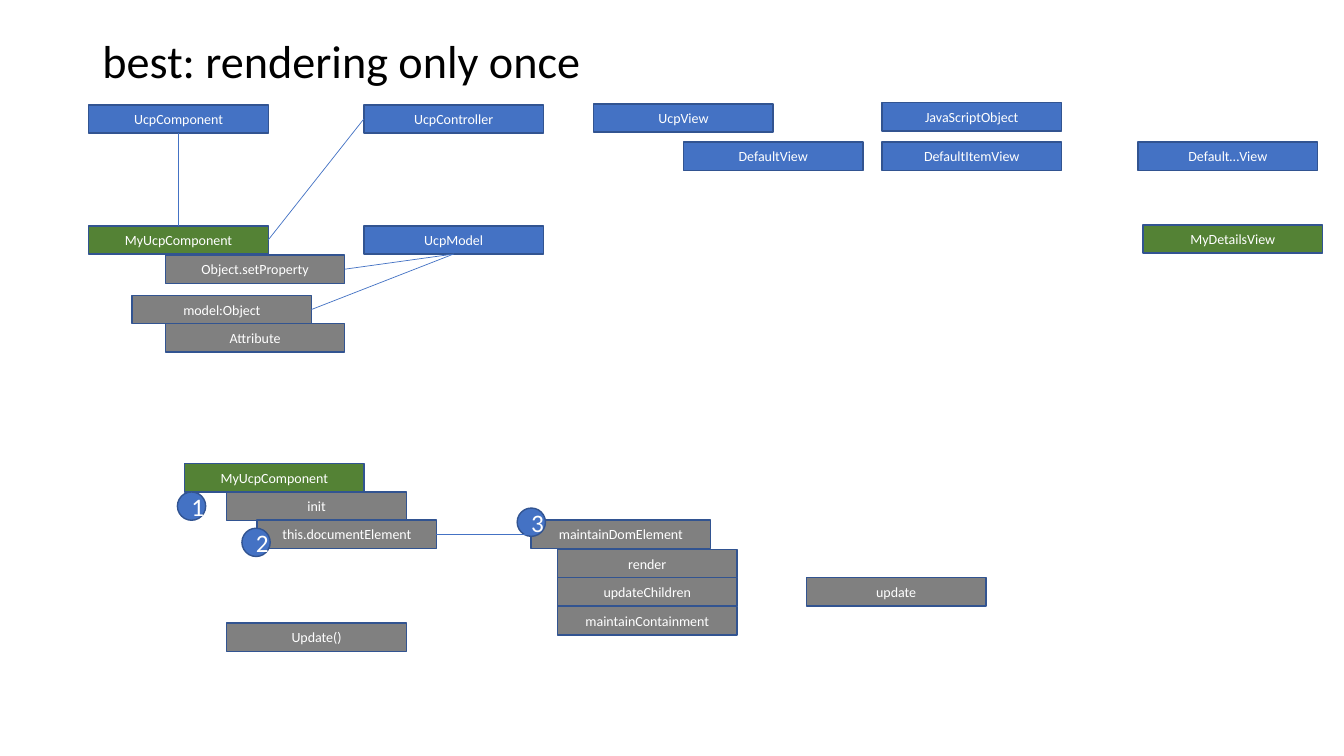
import pptx
import pptx.util
import pptx.dml.color
import pptx.enum.shapes
import pptx.enum.text
import pptx.oxml.ns
import lxml.etree

Pt = pptx.util.Pt
Shape = pptx.enum.shapes.MSO_SHAPE
Align = pptx.enum.text.PP_ALIGN
COLORS = {"blue": "4472C4", "green": "548235", "grey": "808080",
          "outline": "325491", "white": "FFFFFF", "black": "000000"}
BOX_WIDTH, BOX_HEIGHT = 128.2, 20.2


def rgb(name):
    return pptx.dml.color.RGBColor.from_string(COLORS[name])


def write(shape, text, size=10, color="white", align=Align.CENTER, spacing=None):
    frame = shape.text_frame
    frame.word_wrap = True
    frame.auto_size = pptx.enum.text.MSO_AUTO_SIZE.NONE
    frame.vertical_anchor = pptx.enum.text.MSO_ANCHOR.MIDDLE
    paragraph = frame.paragraphs[0]
    paragraph.alignment = align
    paragraph.line_spacing = spacing
    run = paragraph.add_run()
    run.text = text
    run.font.name = "Calibri"
    run.font.size = Pt(size)
    run.font.color.rgb = rgb(color)


deck = pptx.Presentation()
deck.slide_width, deck.slide_height = Pt(960), Pt(540)
slide = deck.slides.add_slide(deck.slide_layouts[5])

# Title
title = slide.shapes.title
title.left, title.top, title.width, title.height = Pt(66), Pt(28.8), Pt(828), Pt(38.2)
write(title, "best: rendering only once", size=33, color="black",
      align=Align.LEFT, spacing=0.7)

# Class boxes, method boxes and step numbers: text, left, top, fill
classes = [
    ("UcpComponent", 63.4, 74.9, "blue"),
    ("MyUcpComponent", 63.4, 161.3, "green"),
    ("model:Object", 94.3, 211, "grey"),
    ("UcpModel", 259.9, 161.3, "blue"),
    ("UcpController", 259.9, 74.9, "blue"),
    ("UcpView", 424.1, 74.2, "blue"),
    ("DefaultView", 488.2, 101.5, "blue"),
    ("DefaultItemView", 630, 101.5, "blue"),
    ("Default…View", 812.9, 101.5, "blue"),
    ("JavaScriptObject", 630, 73.4, "blue"),
    ("Object.setProperty", 118.1, 182.2, "grey"),
    ("Attribute", 118.1, 231.1, "grey"),
    ("MyDetailsView", 816.5, 160.6, "green"),
]
calls = [
    ("MyUcpComponent", 131.8, 331.2, "green"),
    ("init", 162, 351.4, "grey"),
    ("this.documentElement", 183.6, 371.5, "grey"),
    ("Update()", 162, 445, "grey"),
    ("update", 576, 412.6, "grey"),
    ("render", 398.2, 392.4, "grey"),
    ("maintainDomElement", 379.4, 371.5, "grey"),
    ("updateChildren", 398.2, 412.6, "grey"),
    ("maintainContainment", 398.2, 433.4, "grey"),
]
steps = [("1", 126.7, 351.4, "blue"), ("2", 172.8, 377.3, "blue"),
         ("3", 369.4, 362.9, "blue")]

boxes = {}
for group, outline, width, size in [(classes, Shape.RECTANGLE, BOX_WIDTH, 10),
                                    (calls, Shape.RECTANGLE, BOX_WIDTH, 10),
                                    (steps, Shape.OVAL, BOX_HEIGHT, 18)]:
    for text, left, top, fill in group:
        box = slide.shapes.add_shape(outline, Pt(left), Pt(top), Pt(width), Pt(BOX_HEIGHT))
        box.shadow.inherit = False
        box.fill.solid()
        box.fill.fore_color.rgb = rgb(fill)
        box.line.color.rgb = rgb("outline")
        box.line.width = Pt(1)
        write(box, text, size=size)
        boxes.setdefault(text, box)

# Relations, glued to the sides of the boxes
TOP, LEFT, BOTTOM, RIGHT = range(4)
relations = [
    ("MyUcpComponent", RIGHT, "UcpController", LEFT),
    ("UcpComponent", BOTTOM, "MyUcpComponent", TOP),
    ("Object.setProperty", RIGHT, "UcpModel", BOTTOM),
    ("model:Object", RIGHT, "UcpModel", BOTTOM),
    ("this.documentElement", RIGHT, "maintainDomElement", LEFT),
]
for source, source_side, target, target_side in relations:
    relation = slide.shapes.add_connector(
        pptx.enum.shapes.MSO_CONNECTOR.STRAIGHT, Pt(0), Pt(0), Pt(0), Pt(0))
    relation.begin_connect(boxes[source], source_side)
    relation.end_connect(boxes[target], target_side)
    relation.line.color.rgb = rgb("blue")
    relation.line.width = Pt(0.5)
    lxml.etree.SubElement(relation._element.spPr, pptx.oxml.ns.qn("a:effectLst"))

deck.save("out.pptx")
